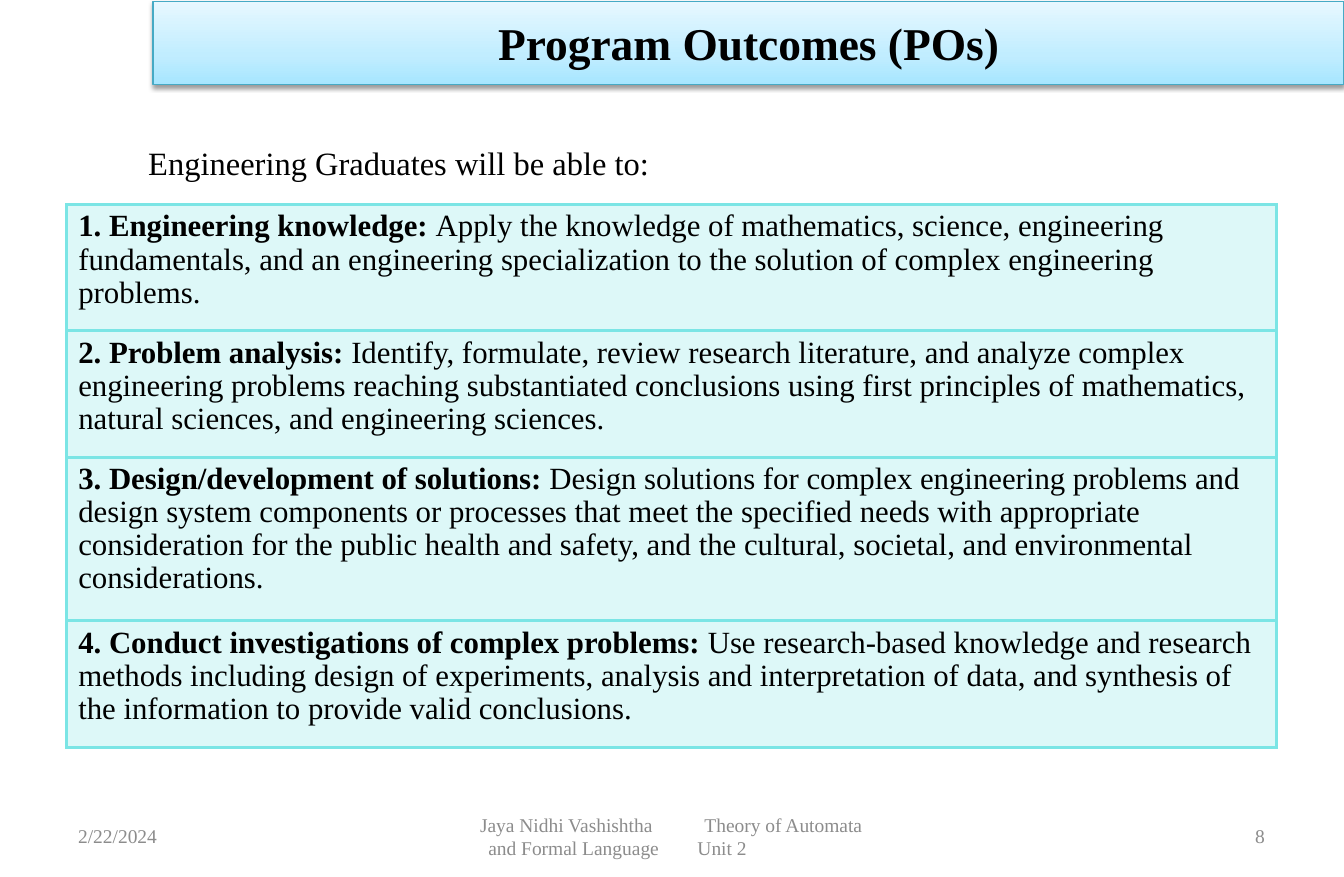
from lxml import etree
from pptx import Presentation
from pptx.dml.color import RGBColor
from pptx.enum.shapes import MSO_SHAPE
from pptx.enum.text import MSO_ANCHOR, PP_ALIGN
from pptx.oxml import parse_xml
from pptx.oxml.ns import nsdecls, qn
from pptx.util import Pt

PX = 9144  # 100 px to the inch
LEFT, CENTER, RIGHT = PP_ALIGN.LEFT, PP_ALIGN.CENTER, PP_ALIGN.RIGHT
TOP, MIDDLE = MSO_ANCHOR.TOP, MSO_ANCHOR.MIDDLE
RECTANGLE = MSO_SHAPE.RECTANGLE

BLACK = RGBColor(0x00, 0x00, 0x00)
GRAY = RGBColor(0x8C, 0x8C, 0x8C)
AQUA = RGBColor(0x7B, 0xE5, 0xE5)
TEAL = RGBColor(0x46, 0xAA, 0xC5)
BANNER_STOPS = (
    (0, RGBColor(0xA7, 0xE6, 0xFF)),
    (35, RGBColor(0xC1, 0xED, 0xFF)),
    (100, RGBColor(0xE7, 0xF8, 0xFF)),
)

OUTCOMES = (
    ("1. Engineering knowledge: ",
     "Apply the knowledge of mathematics, science, engineering fundamentals, and an "
     "engineering specialization to the solution of complex engineering problems."),
    ("2. Problem analysis:",
     " Identify, formulate, review research literature, and analyze complex engineering "
     "problems reaching substantiated conclusions using first principles of mathematics, "
     "natural sciences, and engineering sciences."),
    ("3. Design/development of solutions:",
     " Design solutions for complex engineering problems and design system components or "
     "processes that meet the specified needs with appropriate consideration for the public "
     "health and safety, and the cultural, societal, and environmental considerations."),
    ("4. Conduct investigations of complex problems: ",
     "Use research-based knowledge and research methods including design of experiments, "
     "analysis and interpretation of data, and synthesis of the information to provide "
     "valid conclusions."),
)
ROW_HEIGHTS = (108, 108, 140, 108)


class SlideBuilder:
    """Holds the text style and the current slide."""

    font = "Times New Roman"

    def __init__(self, page):
        self.page = page

    def style(self, span, size, color=BLACK, bold=False):
        span.font.name = self.font
        span.font.size = Pt(size)
        span.font.color.rgb = color
        span.font.bold = bold

    def fill_text(self, frame, text, size, color, align, anchor, bold=False):
        frame.word_wrap = True
        frame.vertical_anchor = anchor
        frame.text = text
        for para in frame.paragraphs:
            para.alignment = align
            for span in para.runs:
                self.style(span, size, color, bold)

    def text(self, left, top, width, height, text, size=12, color=GRAY,
             align=LEFT, anchor=MIDDLE):
        box = self.page.shapes.add_textbox(left * PX, top * PX, width * PX, height * PX)
        self.fill_text(box.text_frame, text, size, color, align, anchor)
        return box

    def tab_stops(self, para, stops):
        tabs = etree.SubElement(para._p.get_or_add_pPr(), qn("a:tabLst"))
        for stop in stops:
            etree.SubElement(tabs, qn("a:tab"), pos=str(stop * PX), algn="l")

    def banner(self, left, top, width, height, text):
        box = self.page.shapes.add_shape(
            RECTANGLE, left * PX, top * PX, width * PX, height * PX)
        box.line.color.rgb = TEAL
        box.line.width = Pt(0.75)
        # Gradient running upwards
        stops = "".join(
            f'<a:gs pos="{place * 1000}"><a:srgbClr val="{color}"/></a:gs>'
            for place, color in BANNER_STOPS)
        box.fill.solid()
        properties = box._element.spPr
        properties.replace(properties.find(qn("a:solidFill")), parse_xml(
            f'<a:gradFill {nsdecls("a")} rotWithShape="1"><a:gsLst>{stops}</a:gsLst>'
            '<a:lin ang="16200000" scaled="0"/></a:gradFill>'))
        # Soft shadow below
        box.shadow.inherit = False
        properties.find(qn("a:effectLst")).append(parse_xml(
            f'<a:outerShdw {nsdecls("a")} blurRad="{Pt(3.1)}" dist="{Pt(1.6)}" '
            'dir="5400000" rotWithShape="0"><a:srgbClr val="000000">'
            '<a:alpha val="38000"/></a:srgbClr></a:outerShdw>'))
        self.fill_text(box.text_frame, text, 28, BLACK, CENTER, MIDDLE, bold=True)

    def table(self, left, top, width, row_heights, entries):
        frame = self.page.shapes.add_table(
            len(entries), 1, left * PX, top * PX, width * PX, sum(row_heights) * PX)
        table = frame.table
        table.first_row = table.horz_banding = False
        for row, height, entry in zip(table.rows, row_heights, entries):
            row.height = height * PX
            self.cell(row.cells[0], *entry)

    def cell(self, cell, heading, body):
        para = cell.text_frame.paragraphs[0]
        para.line_spacing = 0.97
        for text, bold in ((heading, True), (body, False)):
            span = para.add_run()
            span.text = text
            self.style(span, 19, bold=bold)
        cell.fill.solid()
        cell.fill.fore_color.rgb = AQUA
        properties = cell._tc.get_or_add_tcPr()
        color = properties.find(qn("a:solidFill")).find(qn("a:srgbClr"))
        etree.SubElement(color, qn("a:alpha"), val="25000")
        for index, side in enumerate(("lnL", "lnR", "lnT", "lnB")):
            properties.insert(index, parse_xml(
                f'<a:{side} {nsdecls("a")} w="{Pt(2.25)}"><a:solidFill>'
                f'<a:srgbClr val="{AQUA}"/></a:solidFill></a:{side}>'))


def main():
    deck = Presentation()
    deck.slide_width, deck.slide_height = 1150 * PX, 750 * PX
    slide = SlideBuilder(deck.slides.add_slide(deck.slide_layouts[6]))

    # Outcomes
    slide.table(57, 175, 1035, ROW_HEIGHTS, OUTCOMES)

    # Footer
    slide.text(57, 695, 268, 40, "2/22/2024")
    course = slide.text(393, 695, 364, 40,
                        "\tJaya Nidhi Vashishtha\tTheory of Automata\n"
                        "\tand Formal Language\tUnit 2")
    for para, stops in zip(course.text_frame.paragraphs, ((8, 200), (15, 194))):
        slide.tab_stops(para, stops)
    slide.text(824, 695, 268, 40, "8", align=RIGHT)

    # Introduction and title
    slide.text(117, 117, 452, 44, "Engineering Graduates will be able to:",
               size=20, color=BLACK, anchor=TOP)
    slide.banner(131, 1, 1019, 71, "Program Outcomes (POs)")

    deck.save("out.pptx")


if __name__ == "__main__":
    main()
